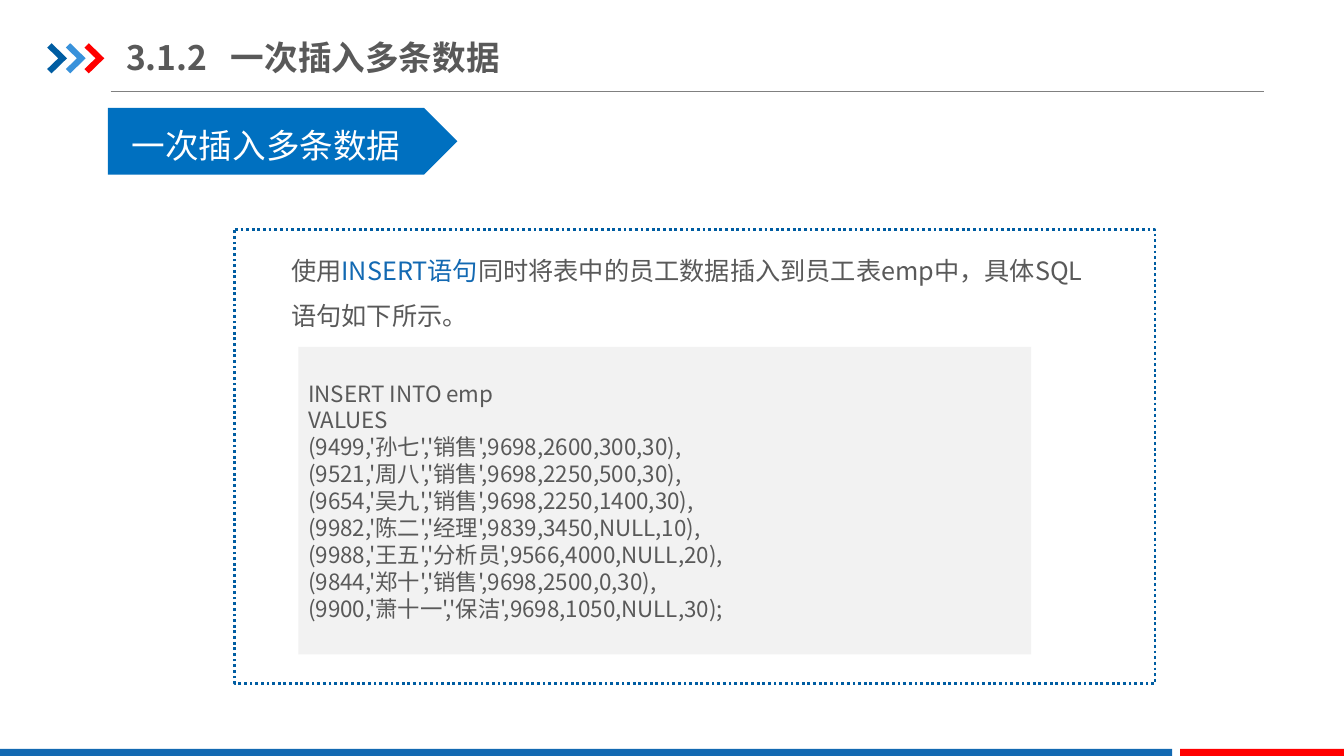
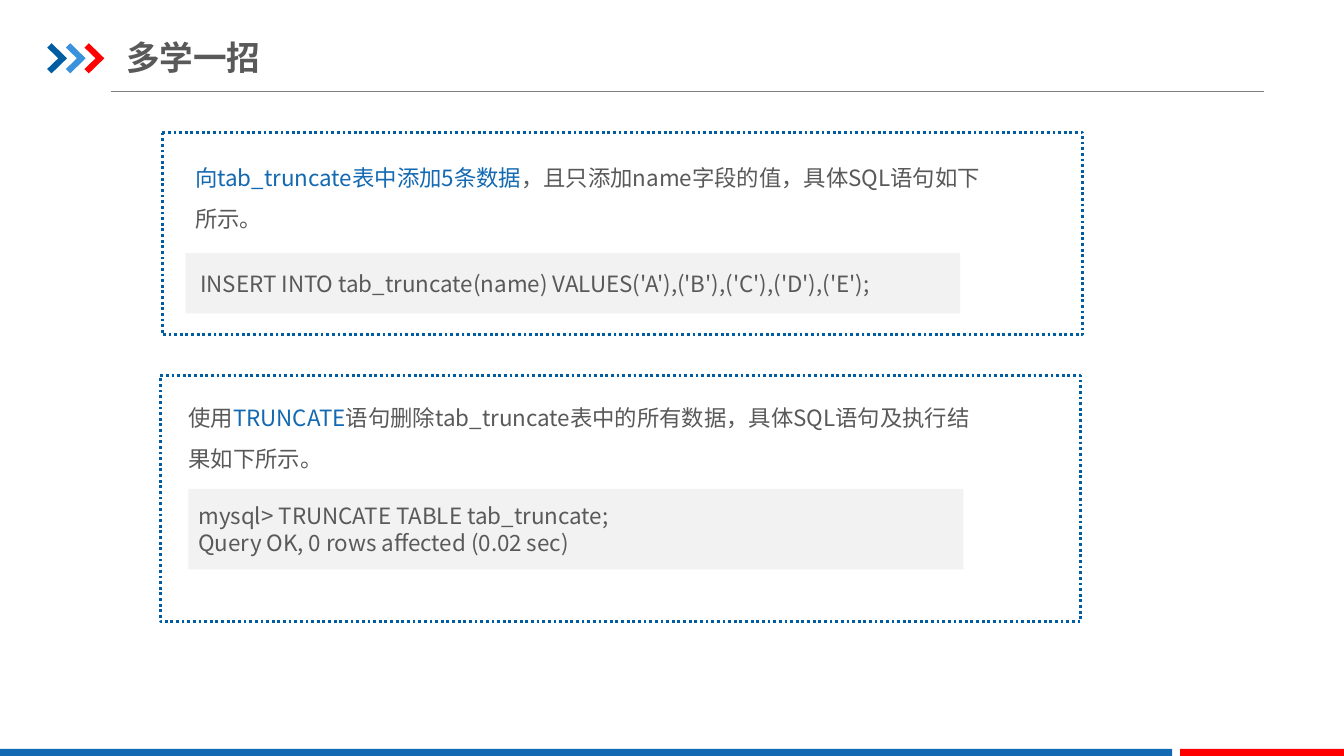
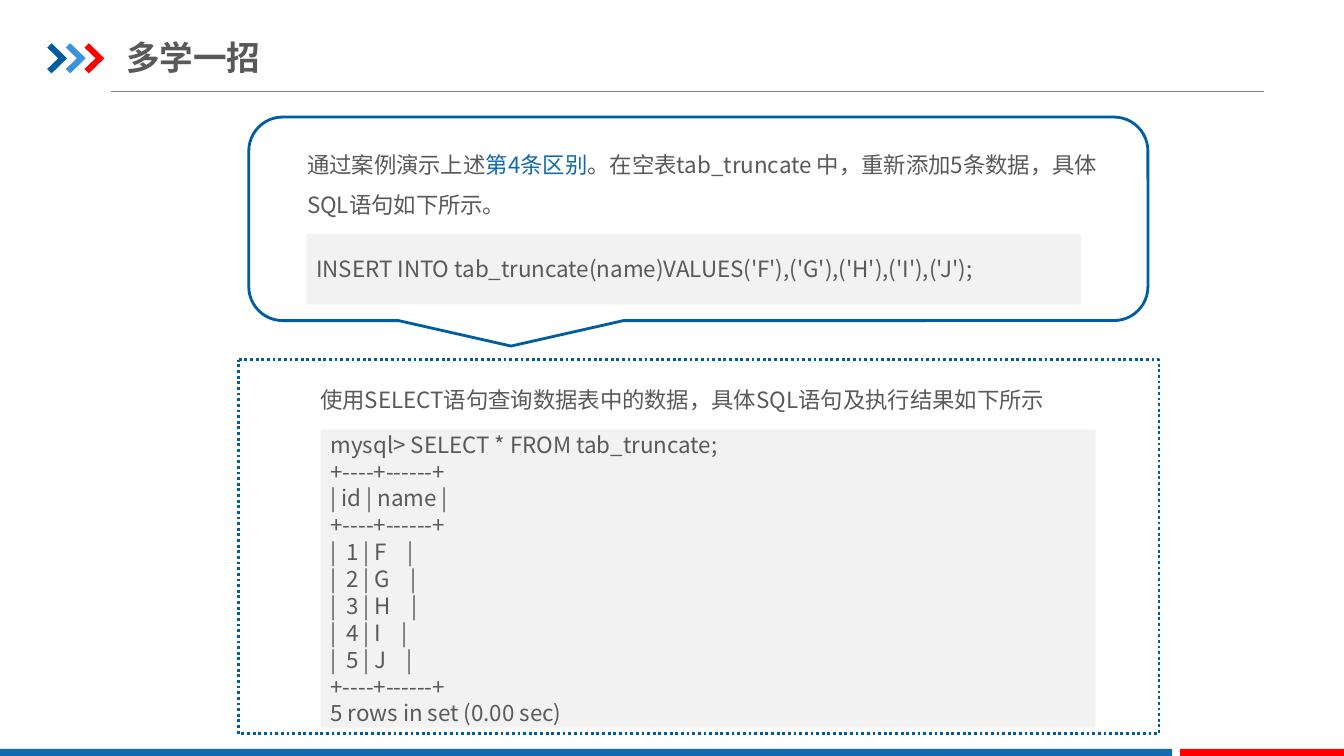
from pptx import Presentation
from pptx.dml.color import RGBColor
from pptx.enum.dml import MSO_LINE
from pptx.enum.shapes import MSO_CONNECTOR, MSO_SHAPE
from pptx.enum.text import MSO_ANCHOR, MSO_AUTO_SIZE, PP_ALIGN
from pptx.oxml.ns import qn
from pptx.util import Cm, Pt
from lxml import etree

RECTANGLE = MSO_SHAPE.RECTANGLE
PROCESS = MSO_SHAPE.FLOWCHART_PROCESS
CALLOUT = MSO_SHAPE.ROUNDED_RECTANGULAR_CALLOUT
PENTAGON = MSO_SHAPE.PENTAGON
STRAIGHT = MSO_CONNECTOR.STRAIGHT
DOTTED = MSO_LINE.ROUND_DOT
MIDDLE = MSO_ANCHOR.MIDDLE
LEFT = PP_ALIGN.LEFT
GROW = MSO_AUTO_SIZE.SHAPE_TO_FIT_TEXT
FIXED = MSO_AUTO_SIZE.NONE

FONT = "Noto Sans CJK SC"
COLORS = {
    "text": "595959",
    "accent": "1369B2",
    "border": "005DA2",
    "sky": "3992DB",
    "red": "FF0000",
    "banner": "0070C0",
    "code": "F2F2F2",
    "rule": "808080",
    "white": "FFFFFF",
}

TITLE_AREA = {"left": Cm(3.18), "top": Cm(0.74), "width": Cm(10.82), "height": Cm(1.4)}
TITLE_FRAME = {
    "margin_left": 0, "margin_right": 0,
    "margin_top": Cm(0.18), "margin_bottom": Cm(0.18),
    "vertical_anchor": MIDDLE, "word_wrap": True, "auto_size": FIXED,
}
MESSAGE_FRAME = {"word_wrap": True, "auto_size": GROW}
CODE_FRAME = {"word_wrap": True, "vertical_anchor": MIDDLE}
SPACED = {"line_spacing": 1.5, "alignment": LEFT}
PLAIN = {"alignment": LEFT}
CHEVRON = [(0, 0.11), (0.11, 0), (0.5, 0.38), (0.11, 0.76), (0, 0.65), (0.28, 0.38)]


def rgb(name):
    return RGBColor.from_string(COLORS[name])


def apply_format(target, values):
    for name, value in values.items():
        setattr(target, name, value)


def paint(shape, fill, border=None, dash=None):
    shape.shadow.inherit = False
    shape.fill.solid()
    shape.fill.fore_color.rgb = rgb(fill)
    if border is None:
        shape.line.fill.background()
        return
    shape.line.color.rgb = rgb(border)
    apply_format(shape.line, {"width": Pt(2), "dash_style": dash})


def add_block(shapes, kind, area, fill, border=None, dash=None):
    block = shapes.add_shape(kind, *map(Cm, area))
    paint(block, fill, border, dash)
    return block


def add_run(paragraph, text, color, size, bold=False):
    run = paragraph.add_run()
    run.text = text
    apply_format(run.font, {"name": FONT, "size": Pt(size), "bold": bold})
    run.font.color.rgb = rgb(color)
    east_asian = etree.SubElement(run.font._element, qn("a:ea"))
    east_asian.set("typeface", FONT)


def add_message(shapes, area, parts, size):
    frame = shapes.add_textbox(*map(Cm, area)).text_frame
    apply_format(frame, MESSAGE_FRAME)
    paragraph = frame.paragraphs[0]
    apply_format(paragraph, SPACED)
    for text, color in parts:
        add_run(paragraph, text, color, size)


def add_code(shapes, area, lines):
    frame = add_block(shapes, RECTANGLE, area, "code").text_frame
    apply_format(frame, CODE_FRAME)
    for number, line in enumerate(lines):
        paragraph = frame.add_paragraph() if number else frame.paragraphs[0]
        apply_format(paragraph, PLAIN)
        add_run(paragraph, line, "text", 16)


def add_dotted_panel(shapes, area):
    add_block(shapes, PROCESS, area, "white", "border", DOTTED)


def add_banner(slide, text):
    banner = slide.shapes.add_group_shape().shapes
    add_block(banner, PENTAGON, (2.72, 2.72, 8.81, 1.68), "banner")
    add_message(banner, (3.07, 2.51, 8.13, 1.8), [(text, "white")], 24)


def add_title(slide, text):
    frame = slide.shapes.title.text_frame
    apply_format(frame, TITLE_FRAME)
    paragraph = frame.paragraphs[0]
    tabs = etree.SubElement(paragraph._p.get_or_add_pPr(), qn("a:tabLst"))
    etree.SubElement(tabs, qn("a:tab"), pos=str(Cm(2.64)), algn="l")
    apply_format(paragraph, PLAIN)
    add_run(paragraph, text, "text", 24, True)


def add_chevron(shapes, left, top, color):
    points = [(Cm(left + x), Cm(top + y)) for x, y in CHEVRON]
    builder = shapes.build_freeform(*points[0])
    builder.add_line_segments(points[1:], close=True)
    chevron = builder.convert_to_shape()
    paint(chevron, color)
    return chevron


def add_rule(shapes):
    rule = shapes.add_connector(STRAIGHT, Cm(2.79), Cm(2.31), Cm(31.85), Cm(2.31))
    rule.line.color.rgb = rgb("rule")
    rule.line.width = Pt(0.75)
    etree.SubElement(rule.element.spPr, qn("a:effectLst"))
    return rule


def decorate_layout(layout, slide):
    apply_format(layout.placeholders[0], TITLE_AREA)
    shapes = slide.shapes
    decorations = [add_rule(shapes)]
    for number, color in enumerate(("border", "sky", "red")):
        decorations.append(add_chevron(shapes, 1.19 + 0.47 * number, 1.09, color))
    for left, width, color in ((0, 29.54, "accent"), (29.74, 4.13, "red")):
        decorations.append(add_block(shapes, RECTANGLE, (left, 18.87, width, 0.18), color))
    for number, decoration in enumerate(decorations, 100):
        decoration.element.xpath(".//p:cNvPr")[0].set("id", str(number))
        layout.shapes.element.append(decoration.element)


def fill_insert_slide(slide):
    shapes = slide.shapes
    add_title(slide, "3.1.2\t一次插入多条数据")
    add_dotted_panel(shapes, (5.92, 5.79, 23.19, 11.43))
    add_message(shapes, (7.09, 5.92, 20.85, 2.57), [
        ("使用", "text"),
        ("INSERT语句", "accent"),
        ("同时将表中的员工数据插入到员工表emp中，具体SQL语句如下所示。", "text"),
    ], 18)
    add_code(shapes, (7.52, 8.74, 18.47, 7.75), [
        "INSERT INTO emp",
        "VALUES",
        "(9499,'孙七','销售',9698,2600,300,30),",
        "(9521,'周八','销售',9698,2250,500,30),",
        "(9654,'吴九','销售',9698,2250,1400,30),",
        "(9982,'陈二','经理',9839,3450,NULL,10),",
        "(9988,'王五','分析员',9566,4000,NULL,20),",
        "(9844,'郑十','销售',9698,2500,0,30),",
        "(9900,'萧十一','保洁',9698,1050,NULL,30);",
    ])
    add_banner(slide, "一次插入多条数据")


def fill_truncate_slide(slide):
    shapes = slide.shapes
    add_title(slide, "多学一招")
    add_dotted_panel(shapes, (4.09, 3.33, 23.19, 5.11))
    add_message(shapes, (4.67, 3.68, 20.47, 2.31), [
        ("向tab_truncate表中添加5条数据", "accent"),
        ("，且只添加name字段的值，具体SQL语句如下所示。", "text"),
    ], 16)
    add_code(shapes, (4.67, 6.38, 19.53, 1.52), [
        " INSERT INTO tab_truncate(name) VALUES('A'),('B'),('C'),('D'),('E');",
    ])
    add_dotted_panel(shapes, (4.04, 9.47, 23.19, 6.2))
    add_message(shapes, (4.5, 9.73, 20.47, 2.31), [
        ("使用", "text"),
        ("TRUNCATE", "accent"),
        ("语句删除tab_truncate表中的所有数据，具体SQL语句及执行结果如下所示。", "text"),
    ], 16)
    add_code(shapes, (4.75, 12.32, 19.53, 2.03), [
        "mysql> TRUNCATE TABLE tab_truncate;",
        "Query OK, 0 rows affected (0.02 sec)",
    ])


def fill_select_slide(slide):
    shapes = slide.shapes
    add_title(slide, "多学一招")
    add_block(shapes, CALLOUT, (6.27, 2.95, 22.66, 5.13), "white", "border")
    add_message(shapes, (7.49, 3.35, 20.47, 2.31), [
        ("通过案例演示上述", "text"),
        ("第4条区别", "accent"),
        ("。在空表tab_truncate 中，重新添加5条数据，具体SQL语句如下所示。", "text"),
    ], 16)
    add_code(shapes, (7.72, 5.89, 19.53, 1.78), [
        "INSERT INTO tab_truncate(name)VALUES('F'),('G'),('H'),('I'),('J');",
    ])
    add_dotted_panel(shapes, (6.02, 9.07, 23.19, 9.42))
    add_message(shapes, (7.82, 9.27, 20.47, 1.27), [
        ("使用SELECT语句查询数据表中的数据，具体SQL语句及执行结果如下所示", "text"),
    ], 16)
    border = "+----+------+"
    rows = [f"|  {number} | {name}    |" for number, name in enumerate("FGHIJ", 1)]
    add_code(shapes, (8.08, 10.82, 19.53, 7.52), [
        "mysql> SELECT * FROM tab_truncate;",
        border, "| id | name |", border, *rows, border,
        "5 rows in set (0.00 sec)",
    ])


def main():
    deck = Presentation()
    apply_format(deck, {"slide_width": Cm(33.87), "slide_height": Cm(19.05)})
    layout = deck.slide_layouts[5]
    fillers = (fill_insert_slide, fill_truncate_slide, fill_select_slide)
    slides = [deck.slides.add_slide(layout) for _ in fillers]
    decorate_layout(layout, slides[0])
    for fill_slide, slide in zip(fillers, slides):
        fill_slide(slide)
    deck.save("out.pptx")


if __name__ == "__main__":
    main()
